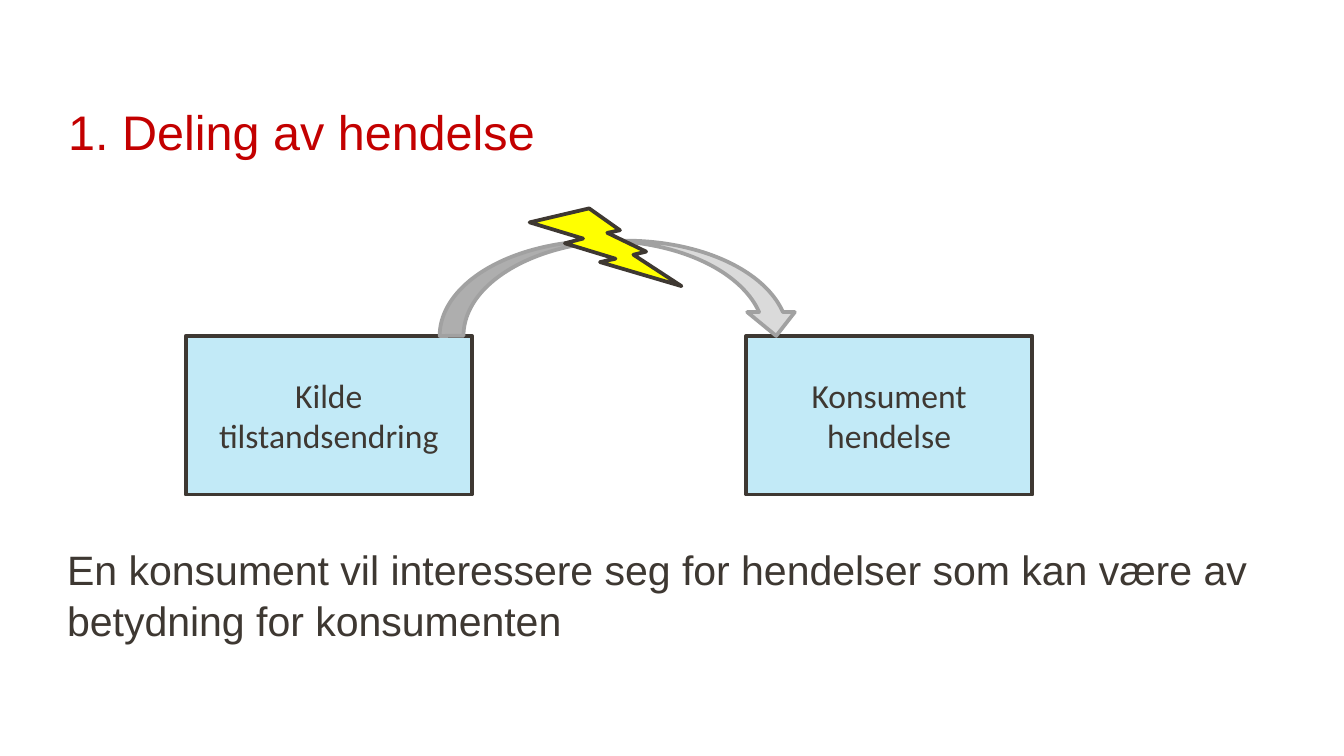
from pptx import Presentation
from pptx.dml.color import RGBColor
from pptx.enum.shapes import MSO_SHAPE as Shape
from pptx.enum.text import MSO_ANCHOR as Anchor, PP_ALIGN as Align
from pptx.util import Cm, Pt

DARK = "3E3832"


def color(hex_code):
    return RGBColor.from_string(hex_code)


def write(frame, text, font, size, hex_code, anchor):
    frame.word_wrap = True
    frame.vertical_anchor = anchor
    frame.text = text
    run_font = frame.paragraphs[0].runs[0].font
    run_font.name = font
    run_font.size = Pt(size)
    run_font.color.rgb = color(hex_code)


prs = Presentation()
prs.slide_width = Cm(25.4)
prs.slide_height = Cm(14.29)
slide = prs.slides.add_slide(prs.slide_layouts[6])

message = slide.shapes.add_textbox(Cm(1.02), Cm(10.13), Cm(23.34), Cm(2.57)).text_frame
write(message, "En konsument vil interessere seg for hendelser som kan være av betydning for konsumenten",
      "Arial", 22, DARK, Anchor.TOP)
message.paragraphs[0].line_spacing = 1.04

heading = slide.shapes.add_textbox(Cm(1.04), Cm(0.51), Cm(23.29), Cm(2.64)).text_frame
write(heading, "1. Deling av hendelse", "Arial", 26, "C30000", Anchor.BOTTOM)

diagram = [
    (Shape.RECTANGLE, 3.51, 6.35, 5.41, 3, "C2EAF7", DARK, "Kilde tilstandsendring"),
    (Shape.RECTANGLE, 14.1, 6.35, 5.41, 3, "C2EAF7", DARK, "Konsument hendelse"),
    (Shape.CURVED_DOWN_ARROW, 8.31, 4.55, 6.81, 1.8, "DADADA", "A1A1A1", ""),
    (Shape.LIGHTNING_BOLT, 10.01, 3.94, 2.87, 1.47, "FFFF00", DARK, ""),
]
for kind, left, top, width, height, fill, outline, label in diagram:
    part = slide.shapes.add_shape(kind, Cm(left), Cm(top), Cm(width), Cm(height))
    part.shadow.inherit = False
    part.fill.solid()
    part.fill.fore_color.rgb = color(fill)
    part.line.color.rgb = color(outline)
    part.line.width = Pt(2)
    if label:
        write(part.text_frame, label, "Calibri", 18, DARK, Anchor.MIDDLE)
        part.text_frame.paragraphs[0].alignment = Align.CENTER

prs.save("out.pptx")
